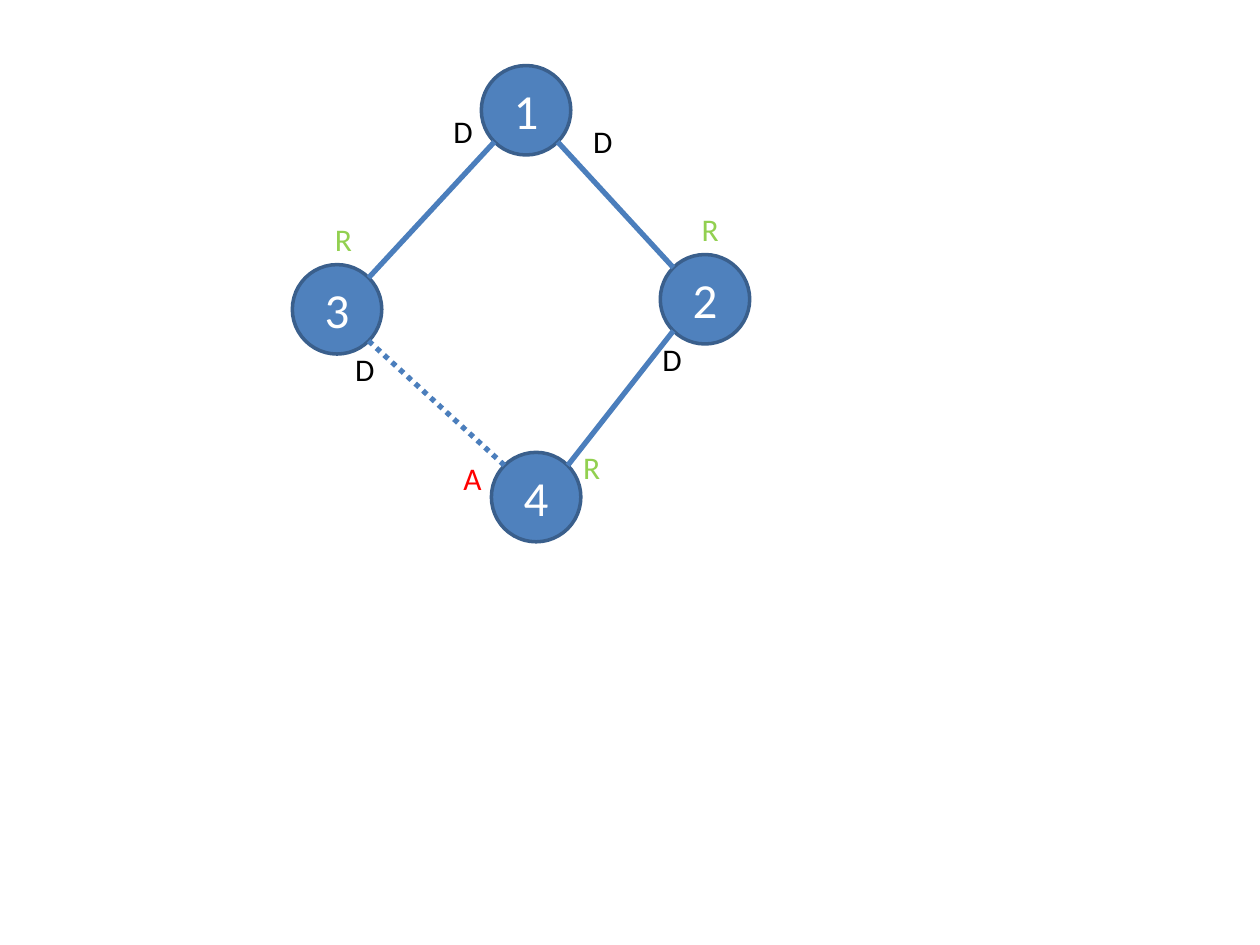
import math
import pptx
import pptx.dml.color
import pptx.enum.dml
import pptx.enum.shapes
import pptx.enum.text
import pptx.oxml
import pptx.util

Inches = pptx.util.Inches
FONT = "Calibri"
DIAMETER = 0.71
LABEL_HEIGHT = 0.4

# Switches: name -> left, top
nodes = {"1": (3.82, 0.52), "4": (3.9, 3.59), "3": (2.32, 2.1), "2": (5.24, 2.02)}

# Links: upper node, lower node, horizontal direction, blocked
links = [("1", "3", -1, False), ("1", "2", 1, False),
         ("2", "4", -1, False), ("3", "4", 1, True)]

# Port roles: colour, label width, positions (left, top)
ports = {
    "D": ("000000", 0.36, [(4.61, 0.92), (3.5, 0.84), (5.16, 2.65), (2.72, 2.73)]),
    "R": ("92D050", 0.34, [(5.47, 1.62), (2.56, 1.7), (4.53, 3.51)]),
    "A": ("FF0000", 0.35, [(3.58, 3.59)]),
}


def color(value):
    return pptx.dml.color.RGBColor.from_string(value)


def write(frame, text, size, font_color):
    frame.text = text
    font = frame.paragraphs[0].runs[0].font
    font.name, font.size = FONT, pptx.util.Pt(size)
    font.color.rgb = color(font_color)


def diagonal_point(name, across, down):
    """Point on the circle at 45 degrees in the given direction."""
    left, top = nodes[name]
    radius = DIAMETER / 2
    reach = radius * math.sqrt(0.5)
    return (Inches(left + radius + across * reach),
            Inches(top + radius + down * reach))


deck = pptx.Presentation()
deck.slide_width, deck.slide_height = Inches(10), Inches(7.5)
page = deck.slides.add_slide(deck.slide_layouts[6])

# Switches
for name, (left, top) in nodes.items():
    circle = page.shapes.add_shape(
        pptx.enum.shapes.MSO_SHAPE.OVAL,
        Inches(left), Inches(top), Inches(DIAMETER), Inches(DIAMETER))
    circle.shadow.inherit = False
    circle.fill.solid()
    circle.fill.fore_color.rgb = color("4F81BD")
    circle.line.color.rgb = color("3A5F8C")
    circle.line.width = pptx.util.Pt(2)
    frame = circle.text_frame
    frame.vertical_anchor = pptx.enum.text.MSO_ANCHOR.MIDDLE
    write(frame, name, 28, "FFFFFF")
    frame.paragraphs[0].alignment = pptx.enum.text.PP_ALIGN.CENTER

# Links
for upper, lower, across, blocked in links:
    link = page.shapes.add_connector(
        pptx.enum.shapes.MSO_CONNECTOR.STRAIGHT,
        *diagonal_point(upper, across, 1), *diagonal_point(lower, -across, -1))
    link.line.color.rgb = color("4B7EBC")
    link.line.width = pptx.util.Pt(3)
    if blocked:
        link.line.dash_style = pptx.enum.dml.MSO_LINE.ROUND_DOT
    properties = link.element.spPr
    properties.append(properties.makeelement(pptx.oxml.ns.qn("a:effectLst"), {}))

# Port roles
for role, (role_color, width, places) in ports.items():
    for left, top in places:
        box = page.shapes.add_textbox(
            Inches(left), Inches(top), Inches(width), Inches(LABEL_HEIGHT))
        frame = box.text_frame
        frame.word_wrap = False
        frame.auto_size = pptx.enum.text.MSO_AUTO_SIZE.SHAPE_TO_FIT_TEXT
        write(frame, role, 18, role_color)

deck.save("out.pptx")
